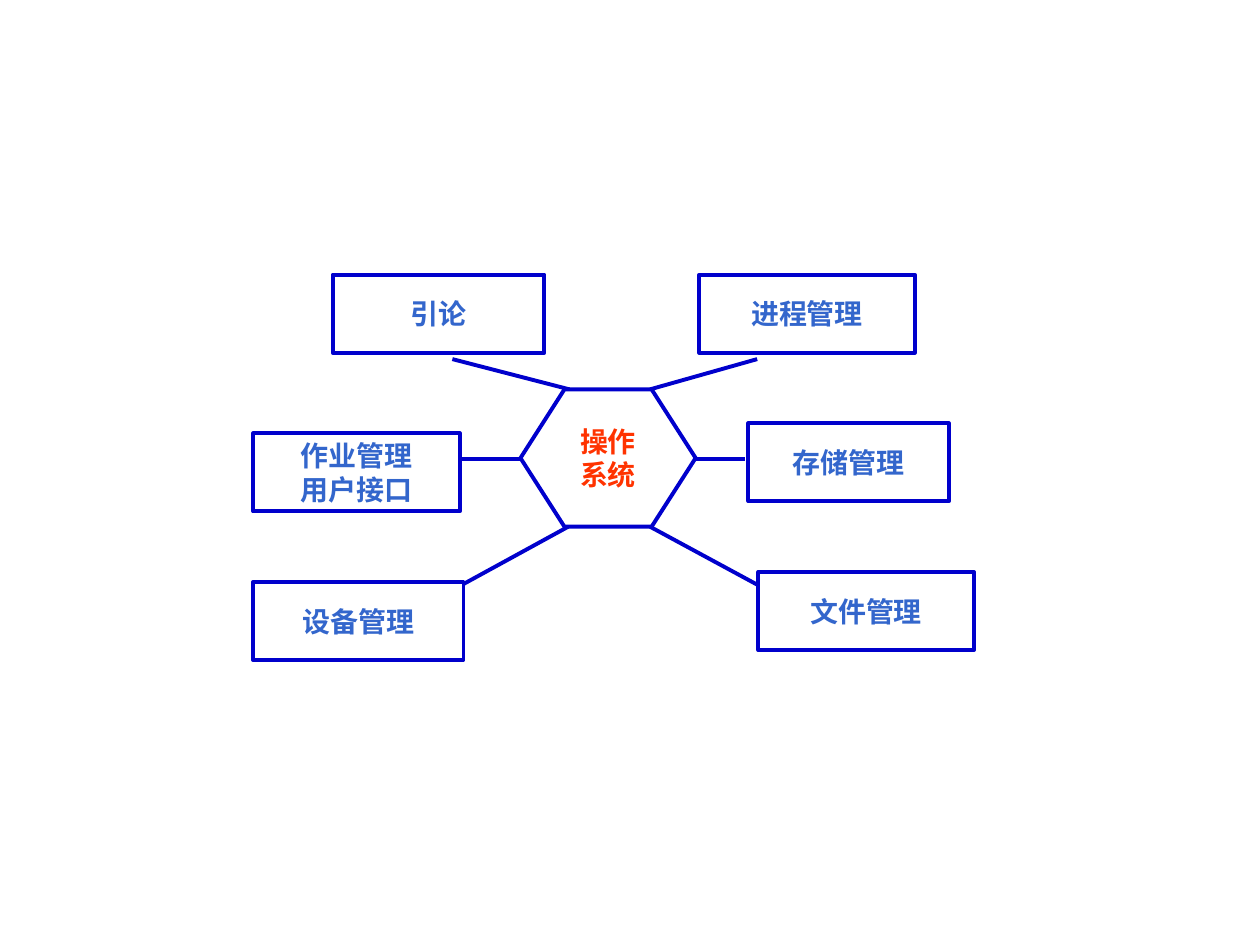
from lxml.etree import SubElement
from pptx import Presentation
from pptx.dml.color import RGBColor
from pptx.enum.shapes import MSO_CONNECTOR, MSO_SHAPE
from pptx.enum.text import MSO_ANCHOR, PP_ALIGN
from pptx.oxml.ns import qn
from pptx.util import Pt

WHITE = RGBColor(0xFF, 0xFF, 0xFF)
NAVY = RGBColor(0x00, 0x00, 0xCC)
BLUE = RGBColor(0x33, 0x66, 0xCC)
ORANGE = RGBColor(0xFF, 0x33, 0x00)

LINE_WIDTH = Pt(2.25)
BOX_HEIGHT = 44.6

deck = Presentation()
deck.slide_width, deck.slide_height = Pt(720), Pt(540)
page = deck.slides.add_slide(deck.slide_layouts[6])


def add_node(kind, left, top, width, height, text, color):
    """Add an outlined white shape with bold centred text."""
    node = page.shapes.add_shape(kind, Pt(left), Pt(top), Pt(width), Pt(height))
    node.shadow.inherit = False
    node.fill.solid()
    node.fill.fore_color.rgb = WHITE
    node.line.color.rgb = NAVY
    node.line.width = LINE_WIDTH
    frame = node.text_frame
    frame.word_wrap = False
    frame.vertical_anchor = MSO_ANCHOR.MIDDLE
    frame.text = text
    for para in frame.paragraphs:
        para.alignment = PP_ALIGN.CENTER
        for span in para.runs:
            span.font.name = "Arial"
            span.font.size = Pt(16)
            span.font.bold = True
            span.font.color.rgb = color
    return node


# Spokes between the hub and the topics
spokes = [
    (258.5, 205.2, 325.4, 222.5),
    (432.7, 205.2, 371.5, 222.5),
    (264.2, 334.1, 324.7, 301),
    (432.7, 334.1, 371.5, 301),
    (301, 262.1, 264.2, 262.1),
    (396, 262.1, 425.5, 262.1),
]
for ends in spokes:
    spoke = page.shapes.add_connector(MSO_CONNECTOR.STRAIGHT, *map(Pt, ends))
    spoke.line.color.rgb = NAVY
    spoke.line.width = LINE_WIDTH
    SubElement(spoke._element.spPr, qn("a:effectLst"))

# Central hub
hub = add_node(MSO_SHAPE.HEXAGON, 297.4, 222.5, 100.1, 78.5, "操作\n系统", ORANGE)
hub.adjustments[0] = 0.32

# Topic boxes: left, top, width, text
topics = [
    (190.1, 157, 121, "引论"),
    (399.6, 157, 123.1, "进程管理"),
    (144.7, 332.6, 120.2, "设备管理"),
    (144.7, 247.7, 118.1, "作业管理\n用户接口"),
    (427.7, 241.9, 114.5, "存储管理"),
    (433.4, 326.9, 123.1, "文件管理"),
]
for left, top, width, text in topics:
    add_node(MSO_SHAPE.RECTANGLE, left, top, width, BOX_HEIGHT, text, BLUE)

deck.save("out.pptx")
